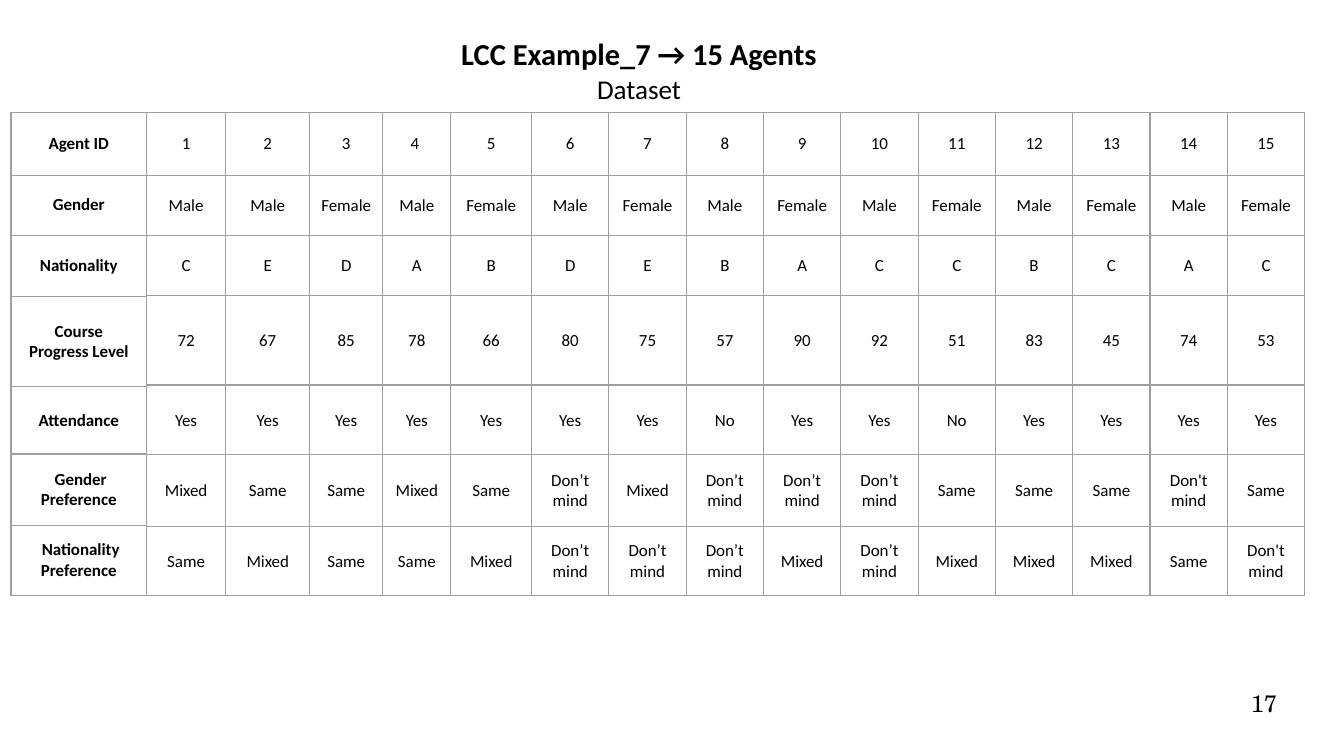
"""Build the dataset slide for the fifteen agents."""
from lxml.etree import SubElement as Sub
from pptx import Presentation
from pptx.dml.color import RGBColor as RGB
from pptx.enum.text import MSO_ANCHOR as Anchor, PP_ALIGN as Align
from pptx.oxml.ns import qn
from pptx.util import Cm, Pt

COLORS = {"text": "000000", "grid": "9E9E9E"}
SIDES = ("left", "top", "right", "bottom")
WIDE = (0.25, 0.25, 0.25, 0.25)
TIGHT = (0.03, 0.03, 0.03, 0)
LABELS = [
    "Agent ID", "Gender", "Nationality", "Course Progress Level",
    "Attendance", "\u00a0Gender Preference", "\u00a0Nationality Preference",
]
AGENTS = [
    "1/2/3/4\u00a0/5/6/7/8/9/10/11/12/13/14/15",
    "Male/Male/Female/Male/Female/Male/Female/Male/Female/Male"
    "/Female/Male/Female/Male/Female",
    "C/E/D/A/B/D/E/B/A/C/C/B/C/A/C",
    "72/67/85/78/66/80/75/57/90/92/51/83/45/74/53",
    "Yes/Yes/Yes/Yes/Yes/Yes/Yes/No/Yes/Yes/No/Yes/Yes/Yes/Yes",
    "Mixed/Same/Same/Mixed/Same/Don’t mind/Mixed/Don’t mind/Don’t mind"
    "/Don’t mind/Same/Same/Same/Don't mind/Same",
    "Same/Mixed/Same/Same/Mixed/Don’t mind/Don’t mind/Don’t mind/Mixed"
    "/Don’t mind/Mixed/Mixed/Mixed/Same/Don't mind",
]


def apply(item, style):
    """Set each named value on the item."""
    for name, value in style.items():
        setattr(item, name, value)


def inset(item, pads):
    """Set the four margins in centimetres."""
    apply(item, {f"margin_{side}": Cm(pad) for side, pad in zip(SIDES, pads)})


def write(par, text, size, bold=False, face="Calibri", align=Align.CENTER):
    """Fill a paragraph with one styled run."""
    par.alignment = align
    run = par.add_run()
    run.text = text
    apply(run.font, {"size": Pt(size), "bold": bold, "name": face})
    run.font.color.rgb = RGB.from_string(COLORS["text"])


def add_box(slide, box, pads, lines):
    """Add a text box with one paragraph per line."""
    frame = slide.shapes.add_textbox(*map(Cm, box)).text_frame
    frame.word_wrap = True
    inset(frame, pads)
    for num, line in enumerate(lines):
        par = frame.add_paragraph() if num else frame.paragraphs[0]
        write(par, **line)


def edge(cell):
    """Draw the four borders of a cell."""
    props = cell._tc.get_or_add_tcPr()
    for num, tag in enumerate(("a:lnL", "a:lnR", "a:lnT", "a:lnB")):
        line = Sub(props, qn(tag), w=str(Pt(0.75)))
        fill = Sub(line, qn("a:solidFill"))
        Sub(fill, qn("a:srgbClr"), val=COLORS["grid"])
        props.insert(num, line)


def add_grid(slide, left, top, cols, rows, data, pads, bold=False):
    """Add a plain bordered table."""
    size = map(Cm, (left, top, sum(cols), sum(rows)))
    grid = slide.shapes.add_table(len(rows), len(cols), *size).table
    apply(grid, {"first_row": False, "horz_banding": False})
    for col, width in zip(grid.columns, cols):
        col.width = Cm(width)
    for row, height, texts, pad in zip(grid.rows, rows, data, pads):
        row.height = Cm(height)
        for cell, text in zip(row.cells, texts):
            cell.fill.background()
            cell.vertical_anchor = Anchor.MIDDLE
            inset(cell, pad)
            edge(cell)
            write(cell.text_frame.paragraphs[0], text, 10, bold)


def main():
    """Build and save the slide."""
    deck = Presentation()
    apply(deck, {"slide_width": Cm(27.99), "slide_height": Cm(15.75)})
    slide = deck.slides.add_slide(deck.slide_layouts[6])
    add_box(slide, (20.07, 14.35, 6.53, 1.09), (0, 0, 0, 0), [
        {"text": "17", "size": 14, "face": "TeX Gyre Schola",
         "align": Align.RIGHT},
    ])
    add_box(slide, (0.71, 0.61, 25.2, 1.73), (0.25, 0.13, 0.25, 0.13), [
        {"text": "LCC Example_7 → 15 Agents", "size": 18, "bold": True},
        {"text": "Dataset", "size": 16},
    ])
    add_grid(slide, 3.05, 2.34, [1.65, 1.75, 1.52, 1.42, 1.68] + [1.61] * 10,
             [1.31, 1.25, 1.25, 1.87, 1.44, 1.5, 1.44],
             [line.split("/") for line in AGENTS], [WIDE] + [TIGHT] * 6)
    add_grid(slide, 0.23, 2.34, [2.82],
             [1.31, 1.25, 1.27, 1.89, 1.4, 1.48, 1.46],
             [[label] for label in LABELS], [WIDE] * 7, bold=True)
    deck.save("out.pptx")


main()
